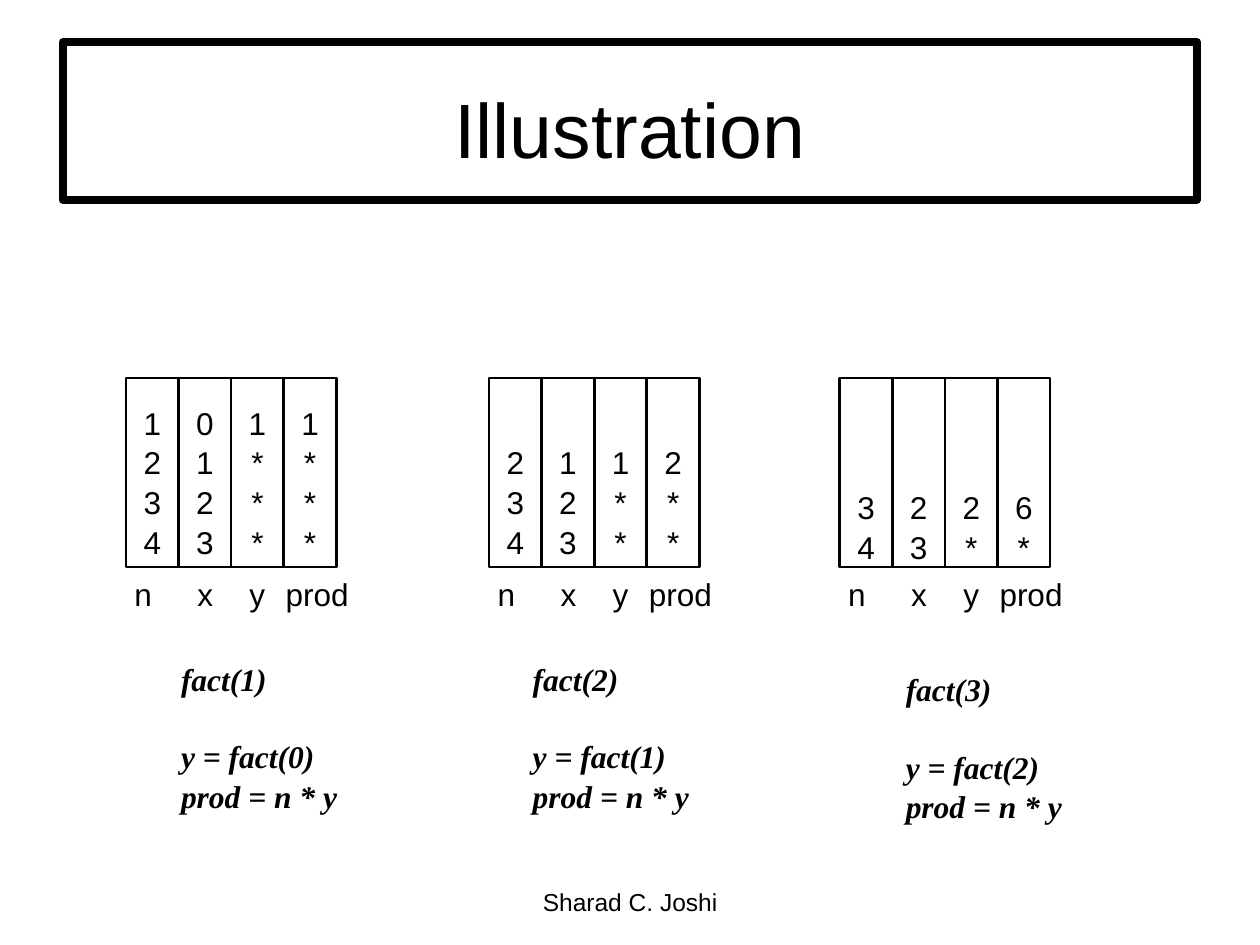
import pptx
import pptx.dml.color
import pptx.enum.shapes
import pptx.enum.text
import pptx.util

Cm = pptx.util.Cm
Pt = pptx.util.Pt
ALIGN = pptx.enum.text.PP_ALIGN
ANCHOR = pptx.enum.text.MSO_ANCHOR
BLACK = pptx.dml.color.RGBColor(0, 0, 0)

COLUMN_WIDTH = 1.06
COLUMN_TOP = 7.62
COLUMN_HEIGHT = 3.81
LABELS = [("n", -0.08, 0.86), ("x", 1.19, 0.81), ("y", 2.24, 0.81), ("prod", 2.97, 1.78)]
STACKS = [
    {"left": 2.54, "columns": ["1234", "0123", "1***", "1***"], "inset": 0.13,
     "call": 1, "call_left": 3.4, "call_top": 13.13},
    {"left": 9.86, "columns": ["234", "123", "1**", "2**"], "inset": 0.13,
     "call": 2, "call_left": 10.49, "call_top": 13.13},
    {"left": 16.93, "columns": ["34", "23", "2*", "6*"], "inset": 0.03,
     "call": 3, "call_left": 18.01, "call_top": 13.34},
]


def write(box, lines, size=18, font="Arial", bold=False, italic=False,
          align=ALIGN.LEFT, anchor=ANCHOR.TOP, wrap=False,
          inset_top=0.13, inset_bottom=0.13, gaps=()):
    frame = box.text_frame
    frame.word_wrap = wrap
    frame.vertical_anchor = anchor
    frame.margin_left = frame.margin_right = Cm(0.25)
    frame.margin_top, frame.margin_bottom = Cm(inset_top), Cm(inset_bottom)
    for index, line in enumerate(lines):
        para = frame.add_paragraph() if index else frame.paragraphs[0]
        para.alignment = align
        para.line_spacing = 1.05
        if index in gaps:
            para.space_before = Pt(21.7)
        span = para.add_run()
        span.text = line
        span.font.name = font
        span.font.size = Pt(size)
        span.font.bold = bold
        span.font.italic = italic
        span.font.color.rgb = BLACK


class Illustration:
    def __init__(self, deck):
        self.page = deck.slides.add_slide(deck.slide_layouts[6])
        self.ink = BLACK

    def frame(self, left, top, width, height, lines, weight=1.5, **style):
        box = self.page.shapes.add_shape(
            pptx.enum.shapes.MSO_SHAPE.RECTANGLE, Cm(left), Cm(top), Cm(width), Cm(height))
        box.shadow.inherit = False
        box.fill.background()
        box.line.color.rgb = self.ink
        box.line.width = Pt(weight)
        write(box, lines, align=ALIGN.CENTER, **style)

    def text(self, left, top, width, height, lines, **style):
        box = self.page.shapes.add_textbox(Cm(left), Cm(top), Cm(width), Cm(height))
        write(box, lines, **style)

    def stack(self, left, columns, inset, call, call_left, call_top):
        for index, values in enumerate(columns):
            self.frame(left + index * COLUMN_WIDTH, COLUMN_TOP, COLUMN_WIDTH, COLUMN_HEIGHT,
                       values, anchor=ANCHOR.BOTTOM, inset_top=inset, inset_bottom=inset)
        for label, offset, width in LABELS:
            self.text(left + offset, COLUMN_TOP + COLUMN_HEIGHT, width, 1.02, [label])
        self.text(call_left, call_top, 3.66, 3.3,
                  [f"fact({call})", f"y = fact({call - 1})", "prod = n * y"],
                  font="Times New Roman", bold=True, italic=True, gaps=(1,))


def main():
    deck = pptx.Presentation()
    deck.slide_width, deck.slide_height = Cm(25.4), Cm(19.05)
    slide = Illustration(deck)
    slide.frame(1.27, 0.85, 22.86, 3.18, ["Illustration"], weight=4.5, size=44,
                anchor=ANCHOR.MIDDLE, wrap=True, inset_top=0.16, inset_bottom=0)
    for stack in STACKS:
        slide.stack(**stack)
    slide.text(8.68, 17.73, 8.05, 1.32, ["Sharad C. Joshi"], size=14,
               align=ALIGN.CENTER, wrap=True)
    deck.save("out.pptx")


if __name__ == "__main__":
    main()
